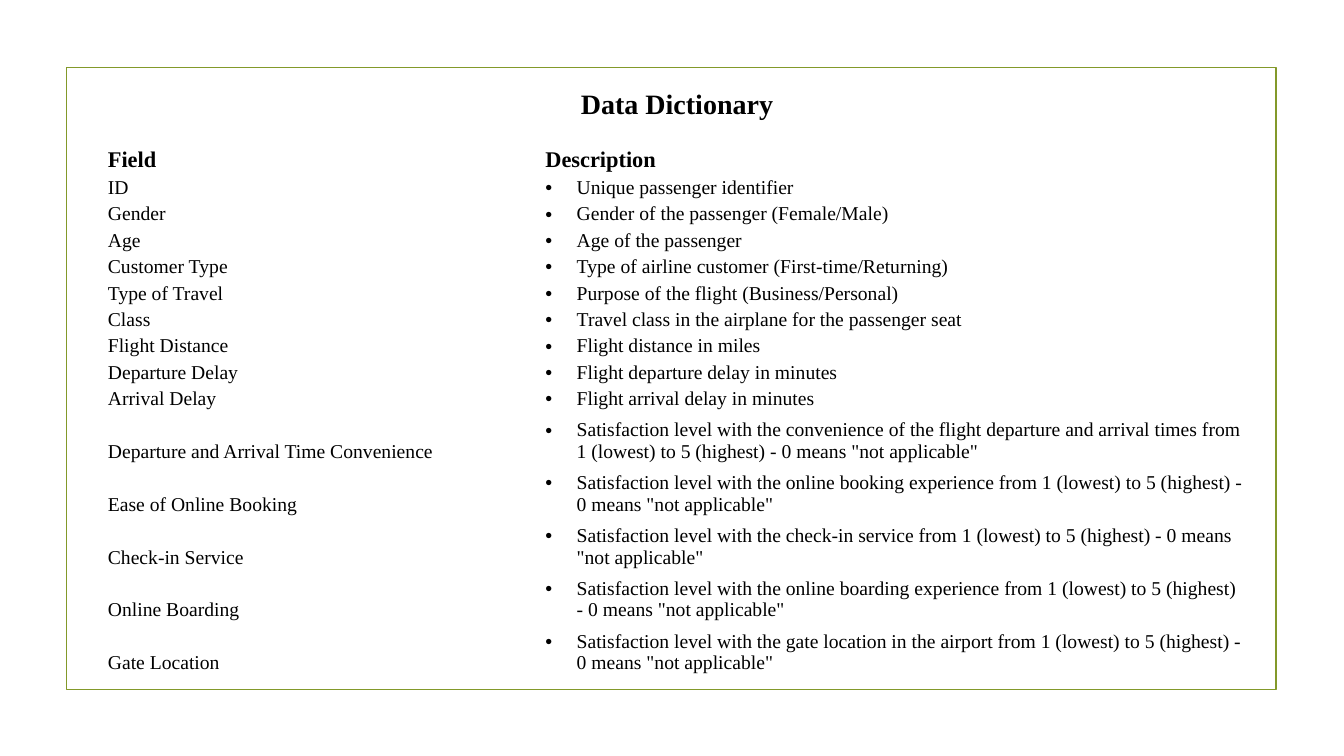
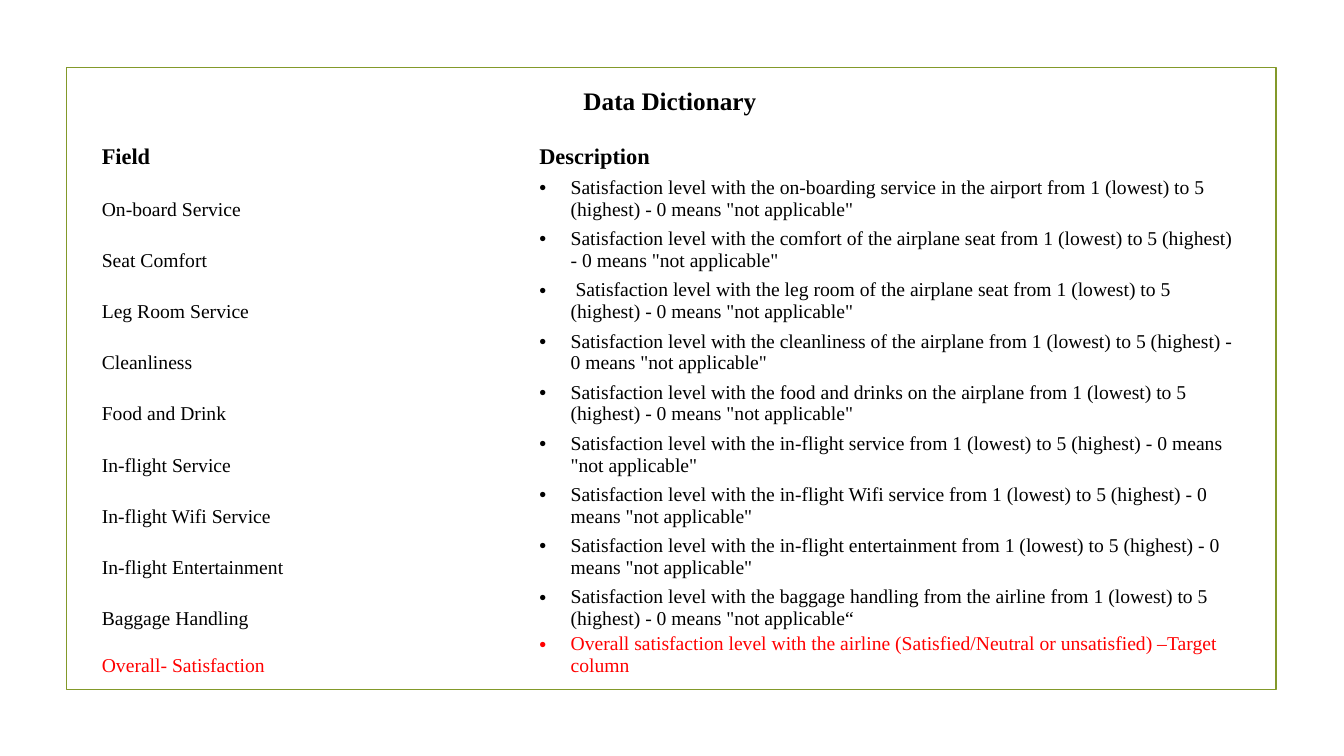
import dataclasses

import lxml.etree
import pptx
import pptx.dml.color
import pptx.enum.shapes
import pptx.enum.text
import pptx.oxml.ns
import pptx.util

Inches = pptx.util.Inches
Pt = pptx.util.Pt
RGBColor = pptx.dml.color.RGBColor
qn = pptx.oxml.ns.qn


@dataclasses.dataclass(frozen=True)
class Theme:
    font: str = "Times New Roman"
    ink: RGBColor = RGBColor(0x00, 0x00, 0x00)
    target: RGBColor = RGBColor(0xFF, 0x00, 0x00)
    border: RGBColor = RGBColor(0x83, 0x99, 0x2A)
    border_width: float = 1.25
    heading_size: int = 16
    entry_size: int = 14
    bullet_indent: float = 0.31


@dataclasses.dataclass(frozen=True)
class Box:
    left: float
    top: float
    width: float
    height: float

    def lengths(self):
        return [Inches(v) for v in dataclasses.astuple(self)]


@dataclasses.dataclass(frozen=True)
class Entry:
    """A field; its row takes a share of the table's height unless height is set."""
    field: str
    description: str
    share: int = 1
    height: float = 0
    color: RGBColor = Theme.ink


THEME = Theme()
FRAME_BOX = Box(0.66, 0.67, 12, 6.17)
FIELD_WIDTH = 4.34
HEADING_HEIGHT = 0.41
NO_GRID_STYLE = "{2D5ABB26-0587-4C30-8999-92F81FD0307C}"


def rated(field, subject, closing='"'):
    return Entry(field, f"Satisfaction level with the {subject} from 1 (lowest) to 5 (highest)"
                        f' - 0 means "not applicable{closing}', share=2)


TRIP_ENTRIES = [
    Entry("ID", "Unique passenger identifier"),
    Entry("Gender", "Gender of the passenger (Female/Male)"),
    Entry("Age", "Age of the passenger"),
    Entry("Customer Type", "Type of airline customer (First-time/Returning)"),
    Entry("Type of Travel", "Purpose of the flight (Business/Personal)"),
    Entry("Class", "Travel class in the airplane for the passenger seat"),
    Entry("Flight Distance", "Flight distance in miles"),
    Entry("Departure Delay", "Flight departure delay in minutes"),
    Entry("Arrival Delay", "Flight arrival delay in minutes"),
    rated("Departure and Arrival Time Convenience",
          "convenience of the flight departure and arrival times"),
    rated("Ease of Online Booking", "online booking experience"),
    rated("Check-in Service", "check-in service"),
    rated("Online Boarding", "online boarding experience"),
    rated("Gate Location", "gate location in the airport"),
]

SERVICE_ENTRIES = [
    rated("On-board Service", "on-boarding service in the airport"),
    rated("Seat Comfort", "comfort of the airplane seat"),
    rated("Leg Room Service", "leg room of the airplane seat"),
    rated("Cleanliness", "cleanliness of the airplane"),
    rated("Food and Drink", "food and drinks on the airplane"),
    rated("In-flight Service", "in-flight service"),
    rated("In-flight Wifi Service", "in-flight Wifi service"),
    rated("In-flight Entertainment", "in-flight entertainment"),
    rated("Baggage Handling", "baggage handling from the airline", closing="“"),
    Entry("Overall- Satisfaction",
          "Overall satisfaction level with the airline"
          " (Satisfied/Neutral or unsatisfied) –Target column",
          height=0.44, color=THEME.target),
]
# The leg room description starts with a space in the content.
SERVICE_ENTRIES[2] = dataclasses.replace(
    SERVICE_ENTRIES[2], description=" " + SERVICE_ENTRIES[2].description)


def style_text(paragraph, size, bold=False, color=THEME.ink):
    for run in paragraph.runs:
        run.font.name = THEME.font
        run.font.size = Pt(size)
        run.font.bold = bold
        run.font.color.rgb = color


def add_bullet(paragraph):
    properties = paragraph._p.get_or_add_pPr()
    indent = Inches(THEME.bullet_indent)
    properties.set("marL", str(indent))
    properties.set("indent", str(-indent))
    lxml.etree.SubElement(properties, qn("a:buFont")).set("typeface", "Arial")
    lxml.etree.SubElement(properties, qn("a:buChar")).set("char", "•")


def add_frame(slide, box):
    frame = slide.shapes.add_shape(pptx.enum.shapes.MSO_SHAPE.RECTANGLE, *box.lengths())
    frame.shadow.inherit = False
    frame.fill.background()
    frame.line.color.rgb = THEME.border
    frame.line.width = Pt(THEME.border_width)


def add_title(slide, box, size):
    title = slide.shapes.add_textbox(*box.lengths()).text_frame
    title.word_wrap = True
    title.text = "Data Dictionary"
    title.paragraphs[0].alignment = pptx.enum.text.PP_ALIGN.CENTER
    style_text(title.paragraphs[0], size, bold=True)


def fill_cell(cell, text, size, bold=False, color=THEME.ink, bulleted=False):
    cell.fill.background()
    cell.margin_left = cell.margin_right = cell.margin_top = cell.margin_bottom = 0
    cell.vertical_anchor = pptx.enum.text.MSO_ANCHOR.BOTTOM
    cell.text_frame.text = text
    paragraph = cell.text_frame.paragraphs[0]
    if bulleted:
        add_bullet(paragraph)
    style_text(paragraph, size, bold, color)


def add_dictionary(slide, box, entries):
    table = slide.shapes.add_table(len(entries) + 1, 2, *box.lengths()).table
    table.first_row = table.horz_banding = False
    table._tbl.tblPr.find(qn("a:tableStyleId")).text = NO_GRID_STYLE
    table.columns[0].width = Inches(FIELD_WIDTH)
    table.columns[1].width = Inches(box.width - FIELD_WIDTH)

    table.rows[0].height = Inches(HEADING_HEIGHT)
    for column, heading in enumerate(("Field", "Description")):
        fill_cell(table.cell(0, column), heading, THEME.heading_size, bold=True)

    free_height = box.height - HEADING_HEIGHT - sum(e.height for e in entries)
    share_height = free_height / sum(e.share for e in entries if not e.height)
    for row, entry in enumerate(entries, start=1):
        table.rows[row].height = Inches(entry.height or entry.share * share_height)
        fill_cell(table.cell(row, 0), entry.field, THEME.entry_size, color=entry.color)
        fill_cell(table.cell(row, 1), entry.description, THEME.entry_size,
                  color=entry.color, bulleted=True)


def add_dictionary_slide(deck, title_box, title_size, table_box, entries):
    slide = deck.slides.add_slide(deck.slide_layouts[6])
    add_frame(slide, FRAME_BOX)
    add_dictionary(slide, table_box, entries)
    add_title(slide, title_box, title_size)


def main():
    deck = pptx.Presentation()
    deck.slide_width, deck.slide_height = Inches(13.33), Inches(7.5)
    add_dictionary_slide(deck, Box(1.07, 0.81, 11.29, 0.44), 20,
                         Box(1.07, 1.3, 11.29, 5.39), TRIP_ENTRIES)
    add_dictionary_slide(deck, Box(1.01, 0.8, 11.27, 0.4), 18,
                         Box(1.01, 1.27, 11.27, 5.42), SERVICE_ENTRIES)
    deck.save("out.pptx")


if __name__ == "__main__":
    main()
